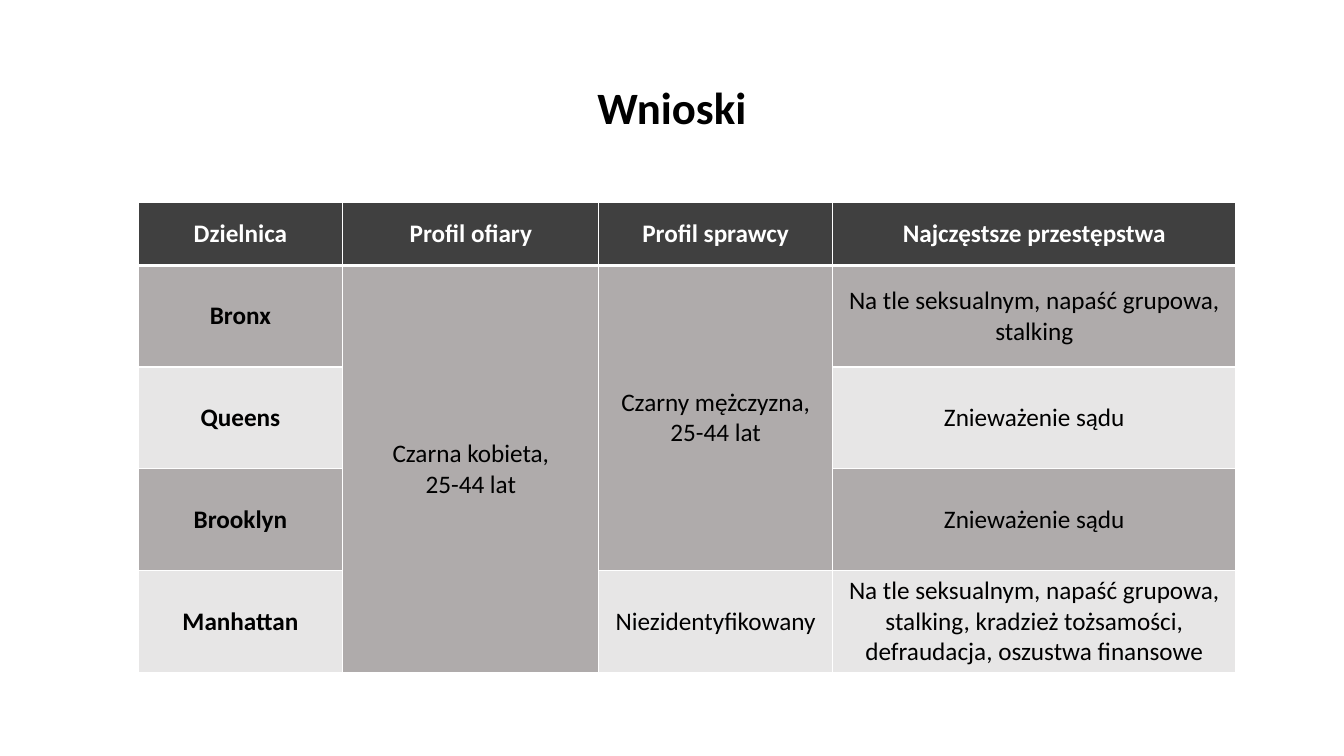
from dataclasses import dataclass

import pptx
import pptx.dml.color
import pptx.enum.text
import pptx.oxml
import pptx.oxml.ns
import pptx.util
from pptx.dml.color import RGBColor
from pptx.util import Cm, Pt

WHITE = RGBColor(0xFF, 0xFF, 0xFF)
BLACK = RGBColor(0x00, 0x00, 0x00)
CHARCOAL = RGBColor(0x40, 0x40, 0x40)
DARK_BAND = RGBColor(0xAF, 0xAB, 0xAB)
LIGHT_BAND = RGBColor(0xE7, 0xE6, 0xE6)

FONT = "Calibri"
COLUMN_WIDTHS = (5.16, 6.45, 5.89, 10.17)
HEADER_HEIGHT = 1.6
DISTRICT_HEIGHT = 2.56
THIN, THICK = 1, 3


@dataclass(frozen=True)
class District:
    name: str
    crimes: str
    victim: str = ""
    offender: str = ""


HEADINGS = ("Dzielnica", "Profil ofiary", "Profil sprawcy", "Najczęstsze przestępstwa")
DISTRICTS = (
    District(
        "Bronx",
        "Na tle seksualnym, napaść grupowa, stalking",
        victim="Czarna kobieta,\n25-44 lat",
        offender="Czarny mężczyzna,\n25-44 lat",
    ),
    District("Queens", "Znieważenie sądu"),
    District("Brooklyn", "Znieważenie sądu"),
    District(
        "Manhattan",
        "Na tle seksualnym, napaść grupowa, stalking, kradzież tożsamości, "
        "defraudacja, oszustwa finansowe",
        offender="Niezidentyfikowany",
    ),
)


def write(frame, text: str, size: int, color: RGBColor, bold: bool) -> None:
    paragraph = frame.paragraphs[0]
    paragraph.text = text
    paragraph.alignment = pptx.enum.text.PP_ALIGN.CENTER
    for run in paragraph.runs:
        run.font.name = FONT
        run.font.size = Pt(size)
        run.font.bold = bold
        run.font.color.rgb = color


def add_borders(cell, top: int, bottom: int) -> None:
    """Draw white cell edges; widths are in points."""
    properties = cell._tc.get_or_add_tcPr()
    for side, width in (("L", THIN), ("R", THIN), ("T", top), ("B", bottom)):
        properties.append(pptx.oxml.parse_xml(
            f'<a:ln{side} {pptx.oxml.ns.nsdecls("a")} w="{Pt(width)}">'
            f'<a:solidFill><a:srgbClr val="{WHITE}"/></a:solidFill></a:ln{side}>'
        ))


def fill_cell(cell, text: str, row: int, column: int) -> None:
    is_header = row == 0
    add_borders(cell, THICK if row == 1 else THIN, THICK if is_header else THIN)
    cell.fill.solid()
    band = DARK_BAND if row % 2 else LIGHT_BAND
    cell.fill.fore_color.rgb = CHARCOAL if is_header else band
    cell.vertical_anchor = pptx.enum.text.MSO_ANCHOR.MIDDLE
    write(cell.text_frame, text, 18, WHITE if is_header else BLACK, is_header or column == 0)


def add_title(slide, width: int) -> None:
    title = slide.shapes.add_textbox(0, Cm(1.88), width, Cm(1.62))
    title.text_frame.word_wrap = True
    write(title.text_frame, "Wnioski", 32, BLACK, True)


def add_findings(slide) -> None:
    contents = [HEADINGS] + [(d.name, d.victim, d.offender, d.crimes) for d in DISTRICTS]
    heights = [HEADER_HEIGHT] + [DISTRICT_HEIGHT] * len(DISTRICTS)
    findings = slide.shapes.add_table(
        len(contents), len(HEADINGS), Cm(3.48), Cm(5.09),
        Cm(sum(COLUMN_WIDTHS)), Cm(sum(heights)),
    ).table
    for column, width in zip(findings.columns, COLUMN_WIDTHS):
        column.width = Cm(width)
    for row, height in zip(findings.rows, heights):
        row.height = Cm(height)
    for row, texts in enumerate(contents):
        for column, text in enumerate(texts):
            fill_cell(findings.cell(row, column), text, row, column)
    findings.cell(1, 1).merge(findings.cell(4, 1))
    findings.cell(1, 2).merge(findings.cell(3, 2))


def main() -> None:
    presentation = pptx.Presentation()
    presentation.slide_width = Cm(33.87)
    presentation.slide_height = Cm(19.05)
    slide = presentation.slides.add_slide(presentation.slide_layouts[6])
    add_findings(slide)
    add_title(slide, presentation.slide_width)
    presentation.save("out.pptx")


if __name__ == "__main__":
    main()
